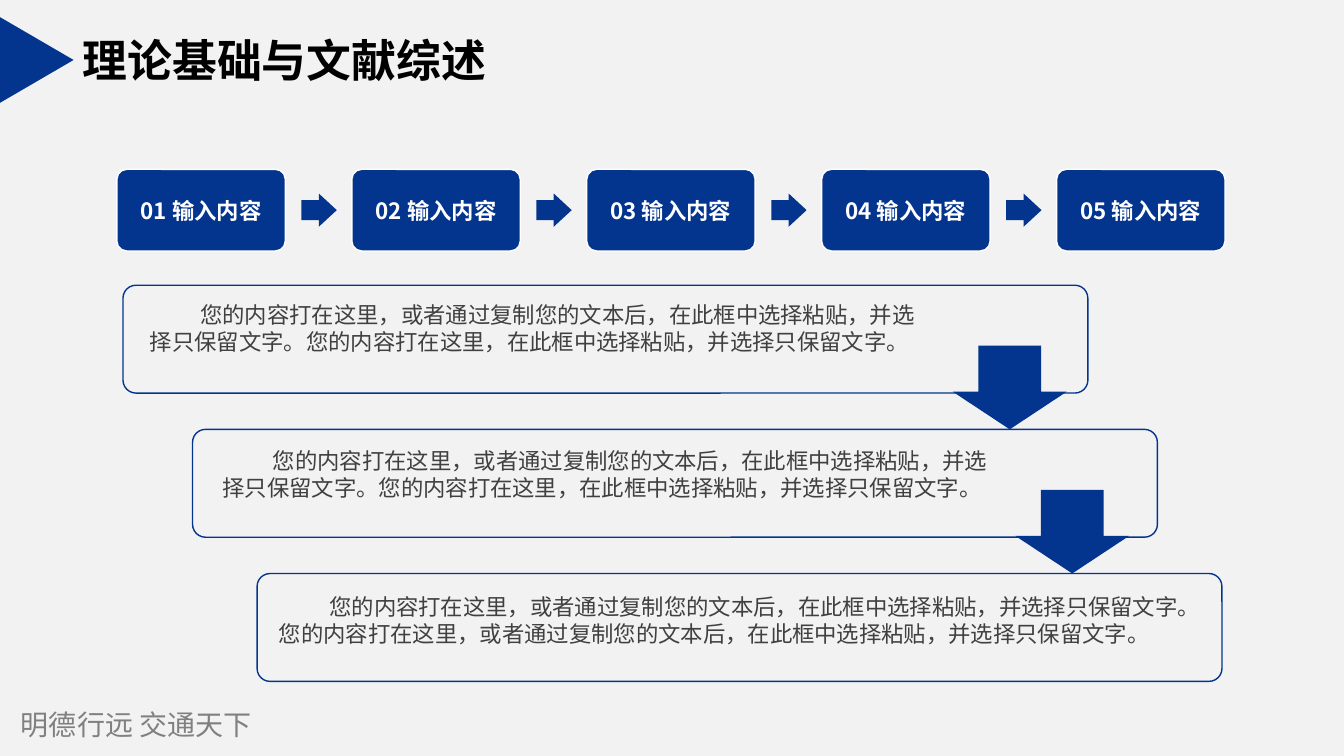
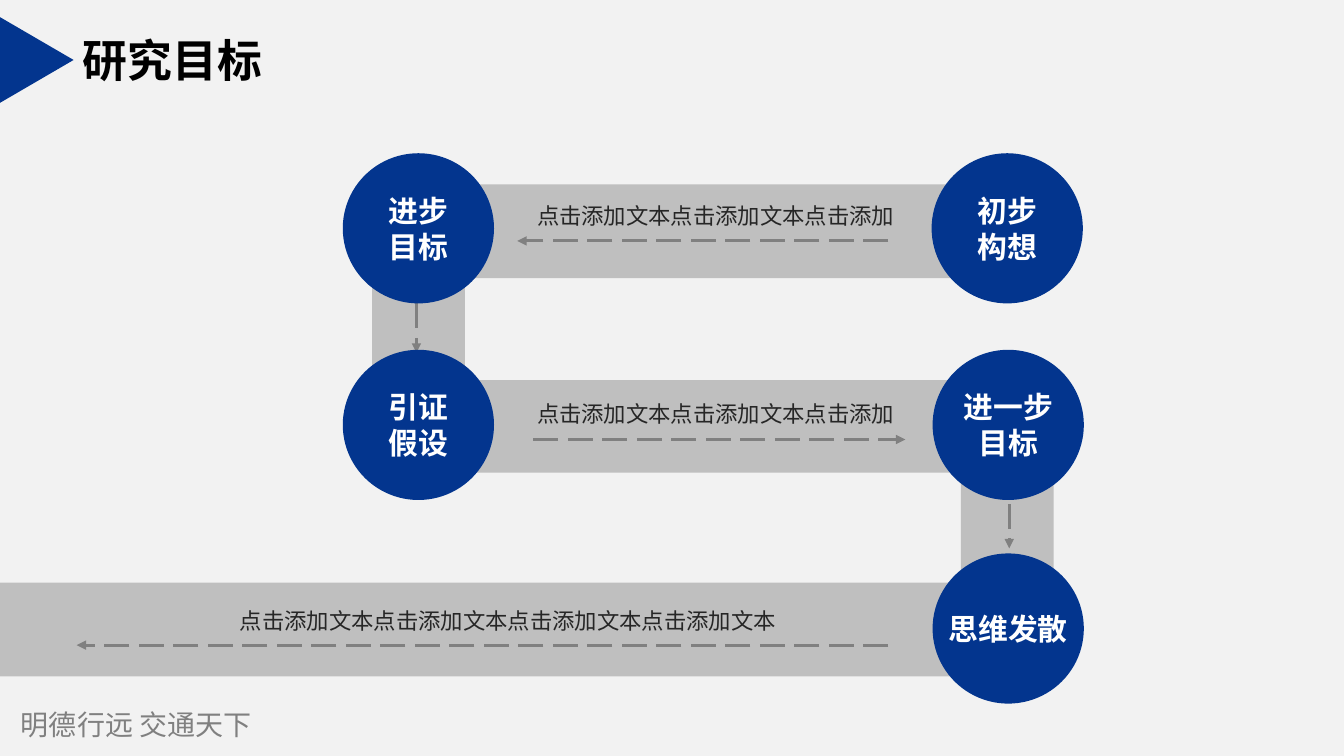
import pptx
import pptx.dml.color
import pptx.enum.dml
import pptx.enum.shapes
import pptx.enum.text
import pptx.oxml
import pptx.oxml.ns
import pptx.util

Inches, Pt = pptx.util.Inches, pptx.util.Pt
RGBColor = pptx.dml.color.RGBColor
SHAPE = pptx.enum.shapes.MSO_SHAPE
ALIGN = pptx.enum.text.PP_ALIGN
ANCHOR = pptx.enum.text.MSO_ANCHOR
qn = pptx.oxml.ns.qn

BLUE = RGBColor(0x03, 0x35, 0x8E)
PAPER = RGBColor(0xF2, 0xF2, 0xF2)
BAND = RGBColor(0xBF, 0xBF, 0xBF)
GREY = RGBColor(0x80, 0x80, 0x80)
BODY = RGBColor(0x40, 0x40, 0x40)
CAPTION = RGBColor(0x26, 0x26, 0x26)
WHITE = RGBColor(0xFF, 0xFF, 0xFF)
BLACK = RGBColor(0x00, 0x00, 0x00)
LATIN, CJK, FOOTER_FONT = "Arial", "Noto Sans CJK SC", "Noto Sans CJK JP"

MOTTO = "明德行远 交通天下"

STEPS = ["01 输入内容", "02 输入内容", "03 输入内容", "04 输入内容", "05 输入内容"]
LONG = "您的内容打在这里，或者通过复制您的文本后，在此框中选择粘贴，并选择只保留文字。"
SHORT = "您的内容打在这里，在此框中选择粘贴，并选择只保留文字。"
# text, panel left, text insets (left, top, right, bottom)
PANELS = [
    (LONG + SHORT, 1.22, (0.23, 0.12, 1.54, 0)),
    (LONG + SHORT, 1.91, (0.26, 0.14, 1.54, 0)),
    (LONG + LONG, 2.55, (0.18, 0.16, 0.22, 0)),
]

# left, top, width, height
BANDS = [
    (0, 5.78, 10.45, 0.93),
    (4.05, 3.77, 6.4, 0.92),
    (9.53, 4.21, 0.92, 2.54),
    (4.57, 1.83, 5.87, 0.93),
    (3.69, 1.83, 0.92, 2.86),
]
# from x, from y, to x, to y
ARROWS = [
    (8.81, 6.4, 0.76, 6.4),
    (5.29, 4.36, 8.98, 4.36),
    (10.01, 5, 10.01, 5.44),
    (8.81, 2.39, 5.13, 2.39),
    (4.13, 3.01, 4.13, 3.5),
]
# lines, left, top
GOALS = [
    (["初步", "构想"], 9.24, 1.52),
    (["进步", "目标"], 3.4, 1.52),
    (["引证", "假设"], 3.4, 3.47),
    (["进一步", "目标"], 9.25, 3.47),
    (["思维发散"], 9.25, 5.49),
]
# text, left, top, width
CAPTIONS = [
    ("点击添加文本点击添加文本点击添加", 5.16, 1.95, 3.88),
    ("点击添加文本点击添加文本点击添加", 5.16, 3.92, 3.88),
    ("点击添加文本点击添加文本点击添加文本点击添加文本", 1.27, 5.97, 7.54),
]


def write(tf, lines, size, color, font=CJK, bold=False, align=ALIGN.CENTER,
          anchor=ANCHOR.MIDDLE, insets=(0.1, 0.05, 0.1, 0.05), wrap=True, indent=0):
    tf.word_wrap = wrap
    tf.auto_size = pptx.enum.text.MSO_AUTO_SIZE.NONE
    tf.vertical_anchor = anchor
    tf.margin_left, tf.margin_top, tf.margin_right, tf.margin_bottom = map(Inches, insets)
    for i, line in enumerate(lines):
        p = tf.add_paragraph() if i else tf.paragraphs[0]
        p.alignment = align
        p.line_spacing = Pt(round(size * 1.2, 1))
        if indent:
            p._p.get_or_add_pPr().set("indent", str(Inches(indent)))
        r = p.add_run()
        r.text = line
        r.font.size, r.font.bold, r.font.name = Pt(size), bold, font
        r.font.color.rgb = color
        east_asian = pptx.oxml.parse_xml(
            f'<a:ea {pptx.oxml.ns.nsdecls("a")} typeface="{CJK if font == LATIN else font}"/>')
        r._r.rPr.find(qn("a:latin")).addnext(east_asian)


def add_shape(s, kind, box, fill, line=None, adjust=()):
    sp = s.shapes.add_shape(kind, *map(Inches, box))
    sp.shadow.inherit = False
    sp.fill.solid()
    sp.fill.fore_color.rgb = fill
    if line is None:
        sp.line.fill.background()
    else:
        sp.line.color.rgb = line
        sp.line.width = Pt(1)
    for i, value in enumerate(adjust):
        sp.adjustments[i] = value
    return sp


def add_text(s, box, lines, size, color, **style):
    sp = s.shapes.add_textbox(*map(Inches, box))
    write(sp.text_frame, lines, size, color, **style)


def add_dashed_arrow(s, x1, y1, x2, y2):
    line = s.shapes.add_connector(pptx.enum.shapes.MSO_CONNECTOR.STRAIGHT,
                                  *map(Inches, (x1, y1, x2, y2)))
    line.line.color.rgb = GREY
    line.line.width = Pt(2.25)
    line.line.dash_style = pptx.enum.dml.MSO_LINE.LONG_DASH
    ns = pptx.oxml.ns.nsdecls("a")
    line.line._get_or_add_ln().append(pptx.oxml.parse_xml(f'<a:tailEnd {ns} type="triangle"/>'))
    line._element.spPr.append(pptx.oxml.parse_xml(f"<a:effectLst {ns}/>"))


def new_slide(prs, title):
    """Add a slide with the shared title, title marker and motto."""
    s = prs.slides.add_slide(prs.slide_layouts.get_by_name("Title Only"))
    sp = s.shapes.title
    sp.left, sp.top, sp.width, sp.height = map(Inches, (0.69, 0.26, 11, 0.67))
    write(sp.text_frame, [title], 32, BLACK, font=LATIN, bold=True,
          align=ALIGN.LEFT, insets=(0.13, 0.07, 0.13, 0.07))
    marker = add_shape(s, SHAPE.ISOSCELES_TRIANGLE, (-0.06, 0.23, 0.85, 0.73), BLUE)
    marker.rotation = 90
    add_text(s, (0.11, 6.97, 3.94, 0.44), [MOTTO], 20, GREY,
             font=FOOTER_FONT, align=ALIGN.LEFT)
    return s


def theory_slide(prs):
    s = new_slide(prs, "理论基础与文献综述")

    pitch = 2.33
    for i, step in enumerate(STEPS):
        left = 1.16 + i * pitch
        sp = add_shape(s, SHAPE.ROUNDED_RECTANGLE, (left, 1.68, 1.67, 0.81),
                       BLUE, WHITE, [0.12])
        write(sp.text_frame, [step], 16, WHITE, bold=True)
        if i < len(STEPS) - 1:
            add_shape(s, SHAPE.RIGHT_ARROW, (left + 1.83, 1.92, 0.35, 0.33),
                      BLUE, adjust=[0.6, 0.54])

    panel_tops = [2.83 + i * 1.43 for i in range(len(PANELS))]
    for (text, left, insets), top in zip(PANELS, panel_tops):
        sp = add_shape(s, SHAPE.ROUNDED_RECTANGLE, (left, top, 9.57, 1.07),
                       PAPER, BLUE, [0.12])
        write(sp.text_frame, [text], 16, BODY, align=ALIGN.LEFT,
              anchor=ANCHOR.TOP, insets=insets, indent=0.5)
    for i, next_top in enumerate(panel_tops[1:]):
        add_shape(s, SHAPE.DOWN_ARROW, (9.45 + i * 0.62, next_top - 0.83, 1.13, 0.83),
                  BLUE, adjust=[0.55, 0.45])


def goals_slide(prs):
    s = new_slide(prs, "研究目标")
    for band in BANDS:
        add_shape(s, SHAPE.RECTANGLE, band, BAND)
    for arrow in ARROWS:
        add_dashed_arrow(s, *arrow)
    for lines, left, top in GOALS:
        sp = add_shape(s, SHAPE.OVAL, (left, top, 1.5, 1.49), BLUE)
        write(sp.text_frame, lines, 21.3, WHITE, font=LATIN, bold=True, wrap=False)
    for text, left, top, width in CAPTIONS:
        add_text(s, (left, top, width, 0.37), [text], 16, CAPTION)


def main():
    prs = pptx.Presentation()
    prs.slide_width, prs.slide_height = Inches(13.33), Inches(7.5)
    background = prs.slide_master.background.fill
    background.solid()
    background.fore_color.rgb = PAPER
    theory_slide(prs)
    goals_slide(prs)
    prs.save("out.pptx")


if __name__ == "__main__":
    main()
